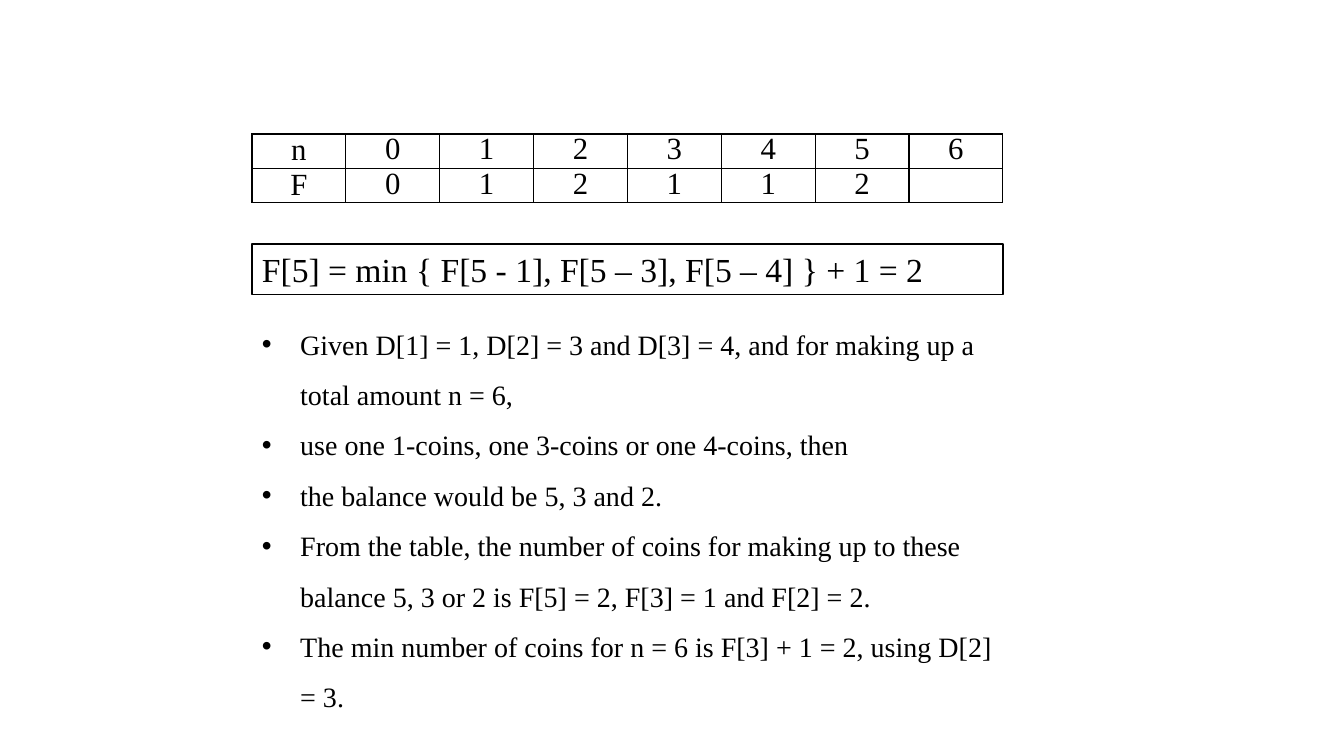
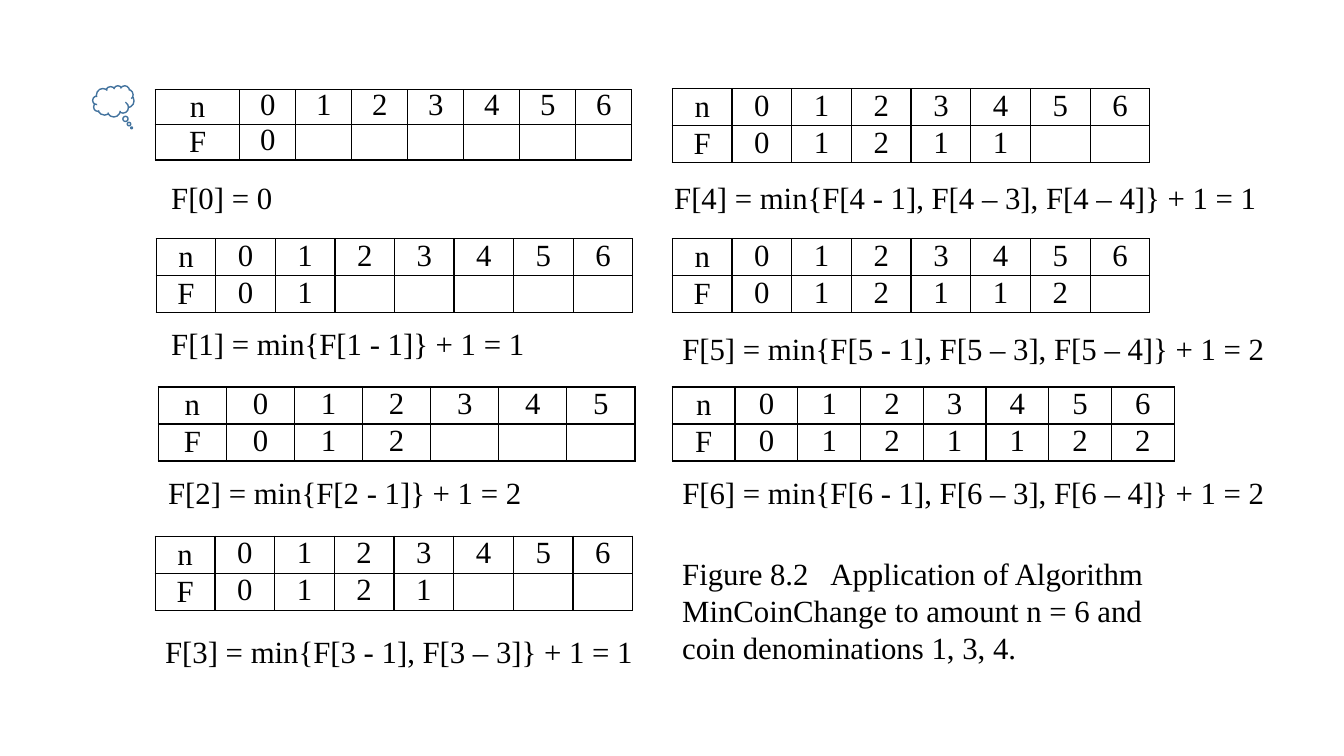
from lxml import etree
from pptx import Presentation
from pptx.dml.color import RGBColor
from pptx.enum import shapes, text
from pptx.oxml import ns
from pptx.util import Pt

px = 9144  # EMU in one px, 100 px to the inch
colour = RGBColor.from_string
BLACK, WHITE, BLUE = "000000", "FFFFFF", "43739E"
FONT = "Times New Roman"


def write(frame, lines, size):
    for i, line in enumerate(lines):
        paragraph = frame.paragraphs[0] if i == 0 else frame.add_paragraph()
        run = paragraph.add_run()
        run.text = line
        run.font.name, run.font.size = FONT, Pt(size)
        run.font.color.rgb = colour(BLACK)


def coin_table(slide, left, top, width, height, rows, label_width=None):
    """Draw the n and F rows; short tables get slightly tighter lines."""
    count = len(rows[0])
    table = slide.shapes.add_table(
        2, count, px * left, px * top, px * width, px * height).table
    table.first_row = table.horz_banding = False
    label = label_width or width / count
    for c, column in enumerate(table.columns):
        column.width = int(px * (label if c == 0 else (width - label) / (count - 1)))
    for r, values in enumerate(rows):
        table.rows[r].height = px * height // 2
        for c in range(count):
            cell = table.cell(r, c)
            cell.margin_left = cell.margin_right = px * 7
            cell.margin_top = cell.margin_bottom = 0
            if c == 0:
                cell.vertical_anchor = text.MSO_ANCHOR.MIDDLE
            if c < len(values):
                write(cell.text_frame, [values[c]], 22)
            paragraph = cell.text_frame.paragraphs[0]
            paragraph.alignment = text.PP_ALIGN.CENTER
            if height < 73:
                paragraph.line_spacing = 0.95
            # Borders come before the fill in the cell properties
            props = cell._tc.get_or_add_tcPr()
            for side in ("lnL", "lnR", "lnT", "lnB"):
                border = etree.SubElement(props, ns.qn(f"a:{side}"), w="12700")
                solid = etree.SubElement(border, ns.qn("a:solidFill"))
                etree.SubElement(solid, ns.qn("a:srgbClr"), val=BLACK)
            cell.fill.solid()
            cell.fill.fore_color.rgb = colour(WHITE)


deck = Presentation()
deck.slide_width, deck.slide_height = 12192000, 6858000
blank = deck.slide_layouts[6]

# Slide 1: working out F[6]
step = deck.slides.add_slide(blank)
coin_table(step, 250, 133, 745, 68, ["n0123456", "F012112"])

# Formula in a frame
formula = step.shapes.add_shape(
    shapes.MSO_SHAPE.RECTANGLE, px * 250, px * 242, px * 745, px * 50)
formula.shadow.inherit = False
formula.fill.solid()
formula.fill.fore_color.rgb = colour(WHITE)
formula.line.color.rgb = colour(BLACK)
formula.line.width = Pt(1)
formula.text_frame.word_wrap = True
write(formula.text_frame, ["F[5] = min { F[5 - 1], F[5 – 3], F[5 – 4] } + 1 = 2"], 24)
formula.text_frame.paragraphs[0].alignment = text.PP_ALIGN.LEFT

# Explanation
explanation = step.shapes.add_textbox(px * 250, px * 303, px * 745, px * 408).text_frame
explanation.word_wrap = True
write(explanation, [
    "Given D[1] = 1, D[2] = 3 and D[3] = 4, and for making up a total amount n = 6,",
    "use one 1-coins, one 3-coins or one 4-coins, then",
    "the balance would be 5, 3 and 2.",
    "From the table, the number of coins for making up to these balance 5, 3 or 2 "
    "is F[5] = 2, F[3] = 1 and F[2] = 2.",
    "The min number of coins for n = 6 is F[3] + 1 = 2, using D[2] = 3.",
], 20)
for point in explanation.paragraphs:
    point.line_spacing = 1.5
    props = point._p.get_or_add_pPr()
    props.set("marL", str(px * 38))
    props.set("indent", str(px * -38))
    etree.SubElement(props, ns.qn("a:buFont"), typeface="Arial")
    etree.SubElement(props, ns.qn("a:buChar"), char="•")

# Slide 2: the table filled step by step
trace = deck.slides.add_slide(blank)

# Table: left, top, width, height, n row, F row, label width
# Formula: left, top, width, wording
stages = [
    ((154, 89, 473, 68, ["n0123456", "F0"], 84),
     (160, 172, 122, "F[0] = 0")),
    ((155, 237, 473, 73, ["n0123456", "F01"]),
     (160, 317, 375, "F[1] = min{F[1 - 1]} + 1 = 1")),
    ((157, 384, 473, 73, ["n012345", "F012"]),
     (157, 465, 375, "F[2] = min{F[2 - 1]} + 1 = 2")),
    ((154, 532, 474, 73, ["n0123456", "F0121"]),
     (154, 623, 505, "F[3] = min{F[3 - 1], F[3 – 3]} + 1 = 1")),
    ((667, 88, 474, 73, ["n0123456", "F01211"]),
     (659, 172, 628, "F[4] = min{F[4 - 1], F[4 – 3], F[4 – 4]} + 1 = 1")),
    ((667, 237, 474, 73, ["n0123456", "F012112"]),
     (667, 322, 612, "F[5] = min{F[5 - 1], F[5 – 3], F[5 – 4]} + 1 = 2")),
    ((667, 384, 498, 73, ["n0123456", "F0121122"]),
     (667, 465, 628, "F[6] = min{F[6 - 1], F[6 – 3], F[6 – 4]} + 1 = 2")),
]
for table, (left, top, width, wording) in stages:
    coin_table(trace, *table)
    recurrence = trace.shapes.add_textbox(px * left, px * top, px * width, px * 47).text_frame
    recurrence.word_wrap = False
    recurrence.auto_size = text.MSO_AUTO_SIZE.SHAPE_TO_FIT_TEXT
    write(recurrence, [wording], 22)

# Thought cloud
cloud = trace.shapes.add_shape(
    shapes.MSO_SHAPE.CLOUD_CALLOUT, px * 92, px * 85, px * 41, px * 31)
cloud.shadow.inherit = False
cloud.adjustments[0], cloud.adjustments[1] = 0.44, 0.85
cloud.fill.solid()
cloud.fill.fore_color.rgb = colour(WHITE)
cloud.line.color.rgb = colour(BLUE)
cloud.line.width = Pt(1)

# Caption, with a tab after the figure number
caption = trace.shapes.add_textbox(px * 667, px * 545, px * 517, px * 121).text_frame
caption.word_wrap = True
tabs = etree.SubElement(caption.paragraphs[0]._p.get_or_add_pPr(), ns.qn("a:tabLst"))
etree.SubElement(tabs, ns.qn("a:tab"), pos=str(px * 147), algn="l")
write(caption, ["Figure 8.2\tApplication of Algorithm MinCoinChange to amount n = 6 "
                "and coin denominations 1, 3, 4."], 22)

deck.save("out.pptx")
